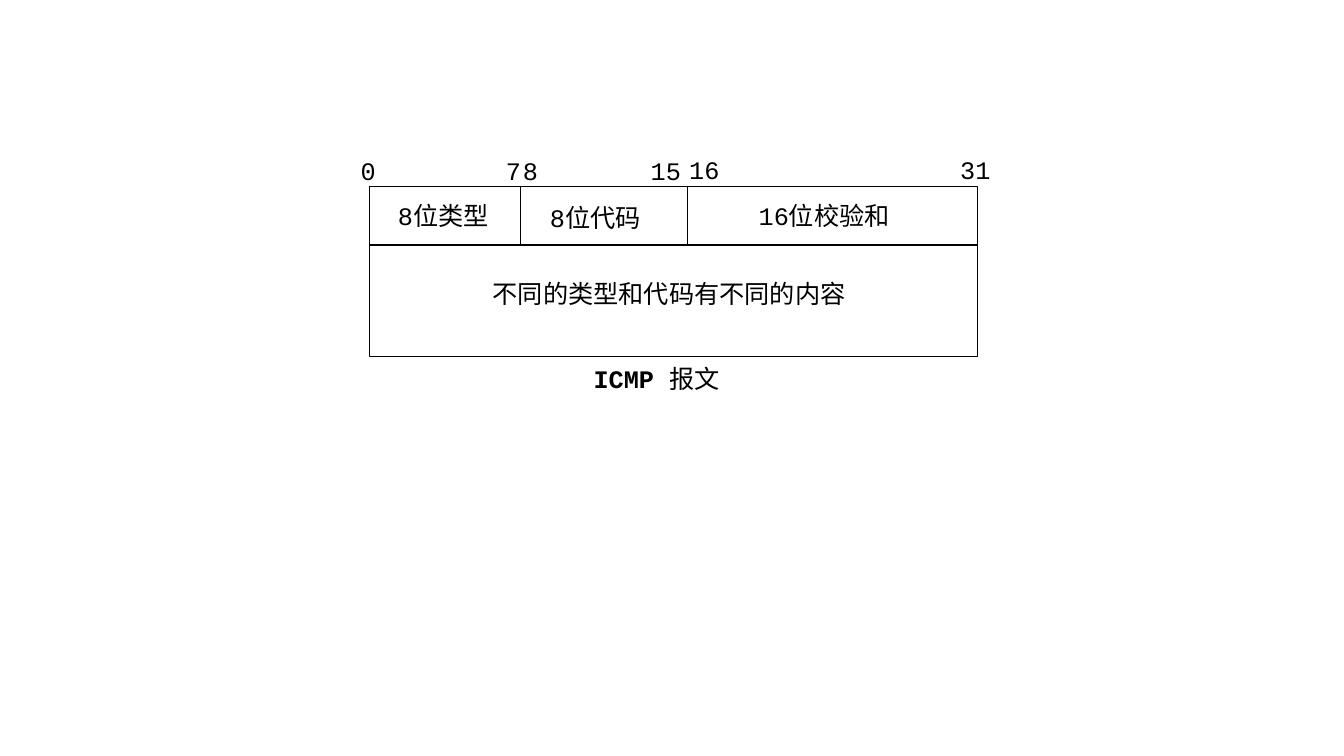
from lxml.etree import SubElement as Sub
from pptx import Presentation
from pptx.dml.color import RGBColor
from pptx.enum.shapes import MSO_CONNECTOR as Link, MSO_SHAPE as Kind
from pptx.oxml.ns import qn
from pptx.util import Cm, Pt

LATIN, HAN = "Courier New", "Noto Sans CJK SC"
INK, PAPER = "000000", "FFFFFF"

# Header frame: left, top, width, then the heights of its two rows
LEFT, TOP, WIDTH = 9.32, 4.7, 15.32
HEAD, BODY = 1.47, 2.82
SPLITS = [13.11, 17.32]
TALL = 1.02

# Bit numbers: text, left, top
BITS = [("0", 8.84, 3.78), ("7", 12.5, 3.78), ("8", 12.93, 3.78),
        ("15", 16.15, 3.78), ("16", 17.12, 3.76), ("31", 23.95, 3.76)]

# Labels: (text, bold) runs, left, top, width
FIELDS = [([("8位类型", False)], 9.78, 4.93, 3.4),
          ([("8位代码", False)], 13.61, 4.98, 3.4),
          ([("16位校验和", False)], 18.87, 4.93, 4.78)]
NOTES = [([("不同的类型和代码有不同的内容", False)], 12.17, 6.88, 9.73),
         ([("ICMP ", True), ("报文", False)], 14.71, 9.04, 4.78)]


def color(code):
    """Turn a hex string into a colour."""
    return RGBColor.from_string(code)


def stroke(item, size):
    """Give a shape or connector a black line."""
    item.line.color.rgb = color(INK)
    item.line.width = Pt(size)


def row(top, height):
    """Draw one full-width row of the frame."""
    box = slide.shapes.add_shape(
        Kind.RECTANGLE, Cm(LEFT), Cm(top), Cm(WIDTH), Cm(height))
    box.shadow.inherit = False
    box.fill.solid()
    box.fill.fore_color.rgb = color(PAPER)
    stroke(box, 1)


def split(x):
    """Draw a divider across the first row."""
    rule = slide.shapes.add_connector(
        Link.STRAIGHT, Cm(x), Cm(TOP), Cm(x), Cm(TOP + HEAD))
    stroke(rule, 0.5)
    Sub(rule._element.spPr, qn("a:effectLst"))


def label(runs, left, top, width):
    """Write a line of text made of (text, bold) runs."""
    box = slide.shapes.add_textbox(Cm(left), Cm(top), Cm(width), Cm(TALL))
    box.text_frame.word_wrap = True
    for text, bold in runs:
        run = box.text_frame.paragraphs[0].add_run()
        run.text = text
        look = {"name": LATIN, "size": Pt(18), "bold": bold}
        for key, value in look.items():
            setattr(run.font, key, value)
        run.font.color.rgb = color(INK)
        Sub(run._r.get_or_add_rPr(), qn("a:ea")).set("typeface", HAN)


deck = Presentation()
deck.slide_width, deck.slide_height = Cm(33.87), Cm(19.05)
slide = deck.slides.add_slide(deck.slide_layouts[6])

row(TOP, HEAD)
for x in SPLITS:
    split(x)
for text, left, top in BITS:
    label([(text, False)], left, top, 0.4 + 0.55 * len(text))
for field in FIELDS:
    label(*field)
row(TOP + HEAD, BODY)
for note in NOTES:
    label(*note)

deck.save("out.pptx")
